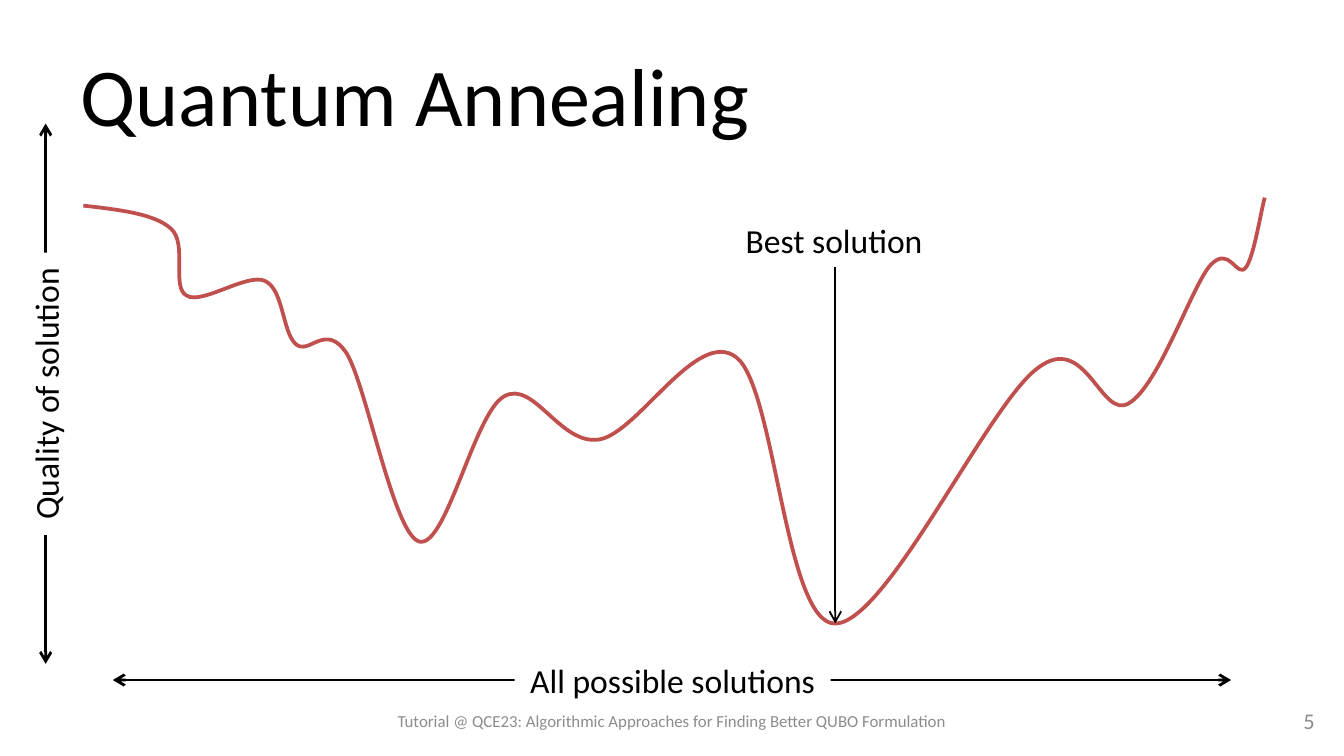
from dataclasses import dataclass

import pptx
import pptx.dml.color
import pptx.enum.shapes
import pptx.enum.text
import pptx.oxml
import pptx.oxml.ns
import pptx.util

Inches = pptx.util.Inches
Align = pptx.enum.text.PP_ALIGN
Anchor = pptx.enum.text.MSO_ANCHOR
AutoSize = pptx.enum.text.MSO_AUTO_SIZE


@dataclass(frozen=True)
class Theme:
    font: str = "Calibri"
    ink: str = "000000"
    muted: str = "8C8C8C"
    paper: str = "FFFFFF"
    curve: str = "C0504D"
    title_size: float = 44
    label_size: float = 18
    number_size: float = 12
    footer_size: float = 9


THEME = Theme()

LANDSCAPE_START = (0.62, 1.53)
LANDSCAPE_CURVES = [
    [(0.88, 1.56), (1.15, 1.59), (1.27, 1.7)],
    [(1.4, 1.81), (1.27, 2.14), (1.39, 2.2)],
    [(1.5, 2.27), (1.84, 2.03), (1.97, 2.09)],
    [(2.11, 2.15), (2.1, 2.47), (2.2, 2.56)],
    [(2.3, 2.65), (2.42, 2.39), (2.58, 2.63)],
    [(2.73, 2.88), (2.93, 3.98), (3.12, 4.03)],
    [(3.32, 4.08), (3.53, 3.07), (3.75, 2.95)],
    [(3.97, 2.82), (4.17, 3.32), (4.46, 3.27)],
    [(4.75, 3.22), (5.19, 2.43), (5.48, 2.66)],
    [(5.77, 2.89), (5.84, 4.63), (6.21, 4.64)],
    [(6.59, 4.65), (7.35, 3.01), (7.72, 2.74)],
    [(8.08, 2.46), (8.19, 3.13), (8.4, 3)],
    [(8.62, 2.87), (8.86, 2.15), (9, 1.98)],
    [(9.15, 1.81), (9.2, 2.08), (9.27, 1.99)],
    [(9.33, 1.91), (9.38, 1.58), (9.41, 1.47)],
]


def rgb(color):
    return pptx.dml.color.RGBColor.from_string(color)


def to_inches(values):
    return [Inches(value) for value in values]


def append_element(parent, tag, **attributes):
    child = parent.makeelement(pptx.oxml.ns.qn(tag), attributes)
    parent.append(child)
    return child


def write_text(shape, text, size, color, align, anchor=Anchor.MIDDLE):
    frame = shape.text_frame
    frame.vertical_anchor = anchor
    paragraph = frame.paragraphs[0]
    paragraph.alignment = align
    run = paragraph.add_run()
    run.text = text
    run.font.name = THEME.font
    run.font.size = pptx.util.Pt(size)
    run.font.color.rgb = rgb(color)


def add_title(slide, text):
    title = slide.shapes.title
    title.left, title.top = Inches(0.5), Inches(0.23)
    title.width, title.height = Inches(9), Inches(0.94)
    title.text_frame.auto_size = AutoSize.NONE
    write_text(title, text, THEME.title_size, THEME.ink, Align.LEFT)


def add_label(slide, text, left, top, width, rotation=0, filled=True):
    label = slide.shapes.add_textbox(*to_inches((left, top, width, 0.4)))
    label.rotation = rotation
    if filled:
        label.fill.solid()
        label.fill.fore_color.rgb = rgb(THEME.paper)
    label.text_frame.word_wrap = False
    label.text_frame.auto_size = AutoSize.SHAPE_TO_FIT_TEXT
    align = Align.CENTER if filled else Align.LEFT
    write_text(label, text, THEME.label_size, THEME.ink, align, Anchor.TOP)
    return label


def add_footer(slide, text, left, width, size, align, side_margin):
    footer = slide.shapes.add_textbox(*to_inches((left, 5.21, width, 0.3)))
    frame = footer.text_frame
    frame.word_wrap = True
    frame.margin_left = frame.margin_right = Inches(side_margin)
    frame.margin_top = frame.margin_bottom = Inches(0.04)
    write_text(footer, text, size, THEME.muted, align)


def add_arrow(slide, start, end, width, double=True):
    arrow = slide.shapes.add_connector(
        pptx.enum.shapes.MSO_CONNECTOR.STRAIGHT, *to_inches((*start, *end)))
    arrow.line.color.rgb = rgb(THEME.ink)
    arrow.line.width = pptx.util.Pt(width)
    line = arrow.line._get_or_add_ln()
    if double:
        append_element(line, "a:headEnd", type="arrow")
    append_element(line, "a:tailEnd", type="arrow")
    append_element(arrow._element.spPr, "a:effectLst")
    return arrow


def add_smooth_curve(slide, start, curves, color, width):
    builder = slide.shapes.build_freeform(*to_inches(start))
    builder.add_line_segments(
        [to_inches(point) for curve in curves for point in curve], close=False)
    shape = builder.convert_to_shape()
    shape.shadow.inherit = False
    shape.fill.background()
    shape.line.color.rgb = rgb(color)
    shape.line.width = pptx.util.Pt(width)

    segments = list(shape._element.iter(pptx.oxml.ns.qn("a:lnTo")))
    outline = segments[0].getparent()
    for first in range(0, len(segments), 3):
        bezier = append_element(outline, "a:cubicBezTo")
        for segment in segments[first:first + 3]:
            bezier.append(segment[0])
            outline.remove(segment)


def main():
    presentation = pptx.Presentation()
    presentation.slide_width = Inches(10)
    presentation.slide_height = Inches(10) * 9 // 16
    slide = presentation.slides.add_slide(presentation.slide_layouts[5])

    add_title(slide, "Quantum Annealing")
    add_footer(slide, "5", 9.17, 0.71, THEME.number_size, Align.RIGHT, 0.1)
    add_smooth_curve(slide, LANDSCAPE_START, LANDSCAPE_CURVES, THEME.curve, 2)

    add_arrow(slide, (0.84, 5.06), (9.16, 5.06), 1.5)
    add_label(slide, "All possible solutions", 3.83, 4.86, 2.35)

    best = add_label(slide, "Best solution", 5.45, 1.59, 1.53, filled=False)
    pointer = add_arrow(slide, (6.21, 1.99), (6.21, 4.64), 1, double=False)
    pointer.begin_connect(best, 2)
    pointer.end_x = pointer.begin_x

    add_arrow(slide, (0.34, 0.92), (0.34, 4.94), 1.5)
    add_label(slide, "Quality of solution", -0.71, 2.73, 2.1, rotation=270)

    add_footer(
        slide,
        "Tutorial @ QCE23: Algorithmic Approaches for Finding Better QUBO Formulation",
        2.8, 4.39, THEME.footer_size, Align.CENTER, 0.07)

    presentation.save("out.pptx")


if __name__ == "__main__":
    main()
